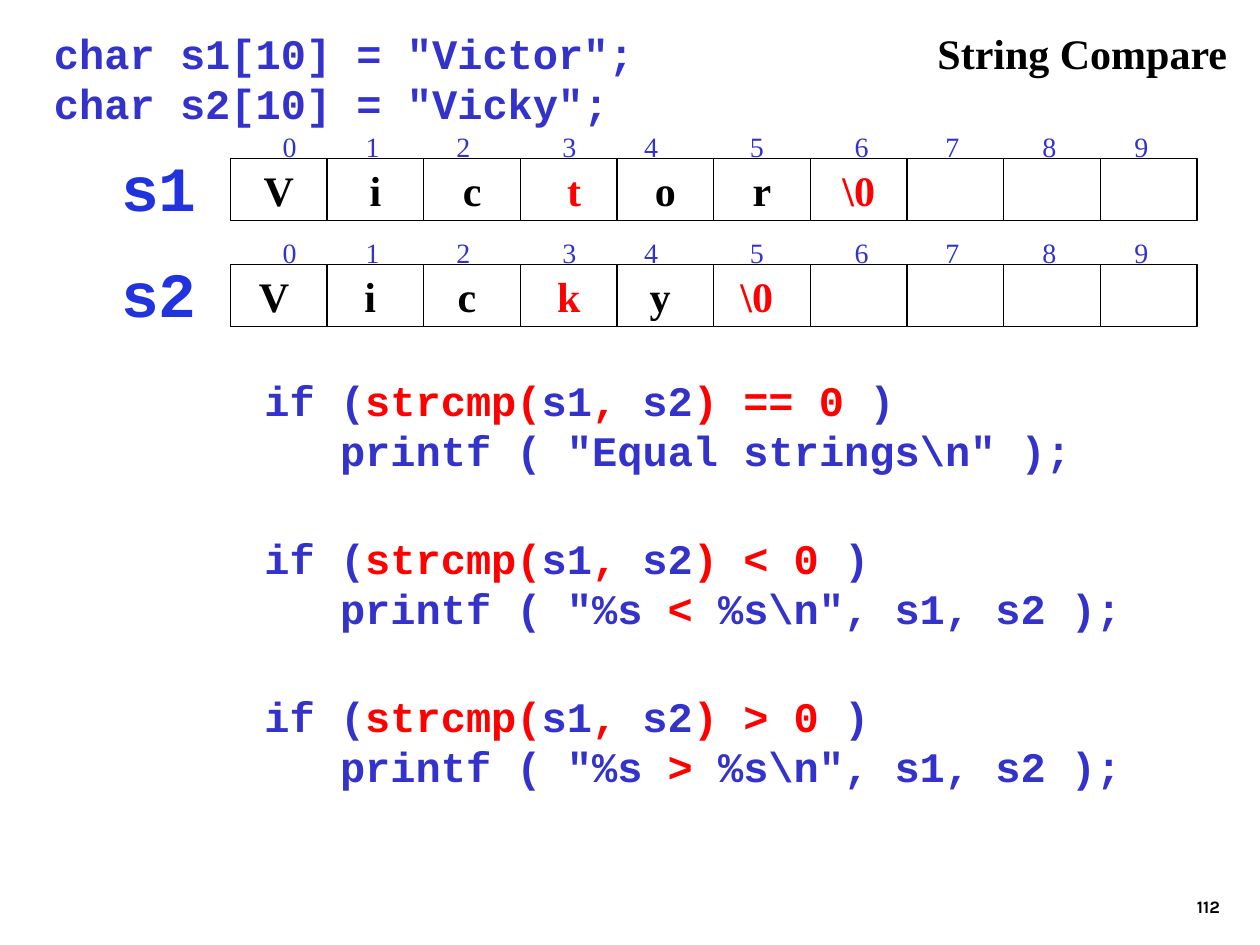
from lxml import etree
from pptx import Presentation
from pptx.dml.color import RGBColor
from pptx.enum.shapes import MSO_SHAPE
from pptx.enum.text import MSO_ANCHOR as ANCHOR, MSO_AUTO_SIZE, PP_ALIGN as ALIGN
from pptx.oxml.ns import qn
from pptx.util import Inches, Pt

COLORS = {"text": "000000", "code": "3333CC", "label": "2133DF", "accent": "FF0000"}
SERIF, MONO = "Times New Roman", "Courier New"
INDEX_CENTERS = (0.37, 1.03, 1.75, 2.59, 3.24, 4.08, 4.91, 5.63, 6.40, 7.13)


def write(frame, text, size=24, font=SERIF, color="text", bold=True,
          align=ALIGN.LEFT, anchor=ANCHOR.TOP, wrap=True):
    """Fill a text frame; parts between ~ marks take the accent colour."""
    frame.word_wrap = wrap
    frame.auto_size = MSO_AUTO_SIZE.NONE
    frame.vertical_anchor = anchor
    for number, line in enumerate(text.split("\n")):
        paragraph = frame.add_paragraph() if number else frame.paragraphs[0]
        paragraph.alignment = align
        for part, words in enumerate(line.split("~")):
            if not words:
                continue
            run = paragraph.add_run()
            run.text = words
            run.font.size = Pt(size)
            run.font.name = font
            run.font.bold = bold
            run.font.color.rgb = RGBColor.from_string(
                COLORS["accent" if part % 2 else color])


def add_text(shapes, left, top, width, height, text, **style):
    box = shapes.add_textbox(Inches(left), Inches(top), Inches(width), Inches(height))
    write(box.text_frame, text, **style)
    return box


def add_center_tabs(paragraph, positions):
    tab_list = etree.SubElement(paragraph._p.get_or_add_pPr(), qn("a:tabLst"))
    for position in positions:
        etree.SubElement(tab_list, qn("a:tab"), pos=str(Inches(position)), algn="ctr")


def add_title(slide, left, top, width, height):
    title = slide.shapes.title
    title.left, title.top = Inches(left), Inches(top)
    title.width, title.height = Inches(width), Inches(height)
    write(title.text_frame, "String Compare", wrap=False)


def add_char_array(slide, left, top, width, name, chars):
    """Draw a named row of ten cells with the indices above it."""
    cell_width, cell_height = width / 10, 0.49
    add_text(slide.shapes, left - 0.97, top - 0.13, 0.8, 0.7, name, size=36,
             font=MONO, color="label", align=ALIGN.RIGHT, wrap=False)
    array = slide.shapes.add_group_shape().shapes
    indices = add_text(array, left, top - 0.34, width, cell_height,
                       "".join(f"\t{index}" for index in range(10)),
                       size=16, color="code", bold=False, anchor=ANCHOR.MIDDLE)
    add_center_tabs(indices.text_frame.paragraphs[0], INDEX_CENTERS)
    for index in range(10):
        cell = array.add_shape(MSO_SHAPE.RECTANGLE, Inches(left + index * cell_width),
                               Inches(top), Inches(cell_width), Inches(cell_height))
        cell.shadow.inherit = False
        cell.fill.background()
        cell.line.color.rgb = RGBColor.from_string(COLORS["text"])
        cell.line.width = Pt(0.75)
        if index < len(chars):
            write(cell.text_frame, chars[index], align=ALIGN.CENTER,
                  anchor=ANCHOR.MIDDLE, wrap=False)


def add_comparisons(slide, left, top, width, step):
    comparisons = (
        ("==", '"Equal strings\\n"'),
        ("<", '"%s ~<~ %s\\n", s1, s2'),
        (">", '"%s ~>~ %s\\n", s1, s2'),
    )
    for row, (operator, arguments) in enumerate(comparisons):
        code = (f"if (~strcmp(~s1~,~ s2~) {operator} 0 ~)\n"
                f"   printf ( {arguments} );")
        add_text(slide.shapes, left, top + row * step, width, 0.9, code,
                 font=MONO, color="code")


def main():
    deck = Presentation()
    deck.slide_width, deck.slide_height = Inches(10), Inches(7.5)
    slide = deck.slides.add_slide(deck.slide_layouts[5])
    add_title(slide, 7.34, 0.17, 2.5, 0.5)
    add_text(slide.shapes, 0.33, 0.17, 7.42, 1.3,
             'char s1[10] = "Victor";\nchar s2[10] = "Vicky";', font=MONO, color="code")
    add_char_array(slide, 1.83, 1.26, 7.67, "s1",
                   ["V", "i", "c", " ~t", "o", "r", "~\\0"])
    add_char_array(slide, 1.83, 2.1, 7.67, "s2",
                   ["V ", "i ", "c ", " ~k ", "y ", "~\\0 "])
    add_comparisons(slide, 2, 2.92, 7.08, 1.255)
    add_text(slide.shapes, 7.7, 6.83, 2.08, 0.5, "112", size=10, font="Karla",
             align=ALIGN.RIGHT, anchor=ANCHOR.BOTTOM)
    deck.save("out.pptx")


if __name__ == "__main__":
    main()
